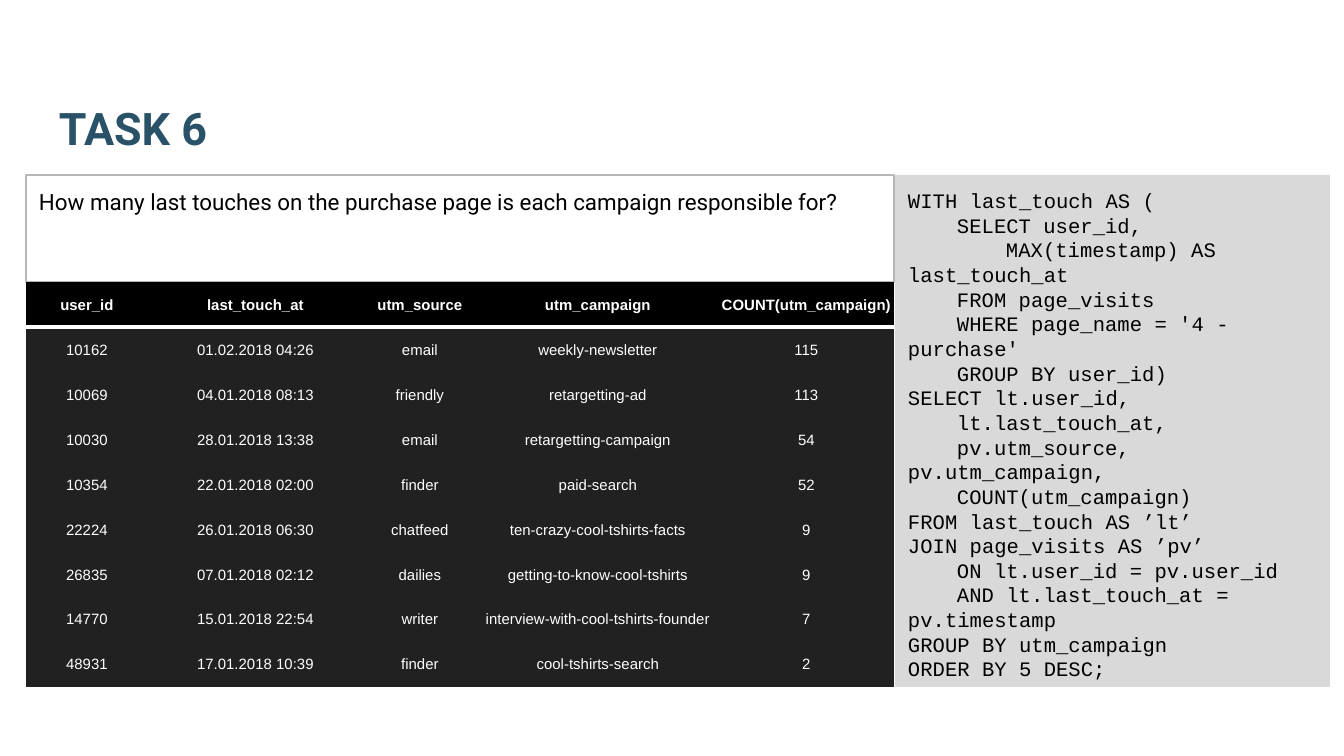
from lxml.etree import SubElement
from pptx import Presentation
from pptx.dml.color import RGBColor
from pptx.enum.shapes import MSO_SHAPE
from pptx.enum.text import MSO_ANCHOR, PP_ALIGN
from pptx.oxml import parse_xml
from pptx.oxml.ns import nsdecls, qn
from pptx.util import Emu, Pt

PX_PER_INCH = 134.4
LEFT, TOP = 26, 175
COLUMN_WIDTHS = [122, 215, 114, 242, 175]
ROW_HEIGHT = 45
QUESTION_HEIGHT = 107
TABLE_WIDTH = sum(COLUMN_WIDTHS)
CODE_INDENT = 49
NO_STYLE = "{2D5ABB26-0587-4C30-8999-92F81FD0307C}"

QUESTION = "How many last touches on the purchase page is each campaign responsible for?"
# Each line of the query: indent level, text
QUERY = [
    (0, "WITH last_touch AS ("),
    (1, "SELECT user_id,"),
    (2, "MAX(timestamp) AS last_touch_at"),
    (1, "FROM page_visits"),
    (1, "WHERE page_name = '4 - purchase'"),
    (1, "GROUP BY user_id)"),
    (0, "SELECT lt.user_id,"),
    (1, "lt.last_touch_at,"),
    (1, "pv.utm_source, pv.utm_campaign,"),
    (1, "COUNT(utm_campaign)"),
    (0, "FROM last_touch AS ’lt’"),
    (0, "JOIN page_visits AS ’pv’"),
    (1, "ON lt.user_id = pv.user_id"),
    (1, "AND lt.last_touch_at = pv.timestamp"),
    (0, "GROUP BY utm_campaign"),
    (0, "ORDER BY 5 DESC;"),
]
RESULTS = [
    ["user_id", "last_touch_at", "utm_source", "utm_campaign", "COUNT(utm_campaign)"],
    ["10162", "01.02.2018 04:26", "email", "weekly-newsletter", "115"],
    ["10069", "04.01.2018 08:13", "friendly", "retargetting-ad", "113"],
    ["10030", "28.01.2018 13:38", "email", "retargetting-campaign", "54"],
    ["10354", "22.01.2018 02:00", "finder", "paid-search", "52"],
    ["22224", "26.01.2018 06:30", "chatfeed", "ten-crazy-cool-tshirts-facts", "9"],
    ["26835", "07.01.2018 02:12", "dailies", "getting-to-know-cool-tshirts", "9"],
    ["14770", "15.01.2018 22:54", "writer", "interview-with-cool-tshirts-founder", "7"],
    ["48931", "17.01.2018 10:39", "finder", "cool-tshirts-search", "2"],
]


def px(length):
    return Emu(round(length * 914400 / PX_PER_INCH))


def color(value):
    return RGBColor.from_string(value)


def add_span(para, text, font, size, fill, bold=False):
    span = para.add_run()
    span.text = text
    span.font.name = font
    span.font.size = Pt(size)
    span.font.bold = bold
    span.font.color.rgb = color(fill)


def prepare_frame(box, anchor):
    """Set wrapping, padding and anchor; return the first paragraph."""
    frame = box.text_frame
    frame.word_wrap = True
    frame.margin_left = frame.margin_right = px(13)
    frame.margin_top = frame.margin_bottom = px(13)
    frame.vertical_anchor = anchor
    para = frame.paragraphs[0]
    para.alignment = PP_ALIGN.LEFT
    return para


def add_title(page, text):
    box = page.shapes.add_textbox(px(46), px(43), px(1253), px(124))
    add_span(prepare_frame(box, MSO_ANCHOR.BOTTOM), text, "Roboto", 24, "295269", True)


def add_panel(page, left, top, width, height, fill=None, line=None):
    box = page.shapes.add_shape(
        MSO_SHAPE.RECTANGLE, px(left), px(top), px(width), px(height))
    box.shadow.inherit = False
    if fill:
        box.fill.solid()
        box.fill.fore_color.rgb = color(fill)
    else:
        box.fill.background()
    if line:
        box.line.color.rgb = color(line)
        box.line.width = Pt(0.75)
    else:
        box.line.fill.background()
    return box


def add_question(page):
    box = add_panel(page, LEFT, TOP, TABLE_WIDTH, QUESTION_HEIGHT, line="B7B7B7")
    add_span(prepare_frame(box, MSO_ANCHOR.TOP), QUESTION, "Roboto", 12, "000000")


def add_query(page):
    height = QUESTION_HEIGHT + ROW_HEIGHT * len(RESULTS)
    box = add_panel(page, LEFT + TABLE_WIDTH + 1, TOP, 435, height, fill="D9D9D9")
    para = prepare_frame(box, MSO_ANCHOR.TOP)
    for number, (level, text) in enumerate(QUERY):
        if number:
            para = box.text_frame.add_paragraph()
            para.alignment = PP_ALIGN.LEFT
        # Only the first line is indented; wrapped text returns to the margin
        properties = para._p.get_or_add_pPr()
        properties.set("marL", "0")
        properties.set("indent", str(px(CODE_INDENT * level)))
        add_span(para, text, "Courier New", 11, "000000")


def add_bottom_border(cell, fill, width):
    border = parse_xml(f'<a:lnB {nsdecls("a")} w="{Pt(width)}"/>')
    solid = SubElement(border, qn("a:solidFill"))
    SubElement(solid, qn("a:srgbClr"), val=fill)
    cell._tc.get_or_add_tcPr().insert(0, border)


def fill_cell(cell, text, is_header):
    cell.fill.solid()
    cell.fill.fore_color.rgb = color("000000" if is_header else "212121")
    cell.margin_left = cell.margin_right = cell.margin_top = px(1)
    cell.margin_bottom = 0
    cell.vertical_anchor = MSO_ANCHOR.MIDDLE
    para = cell.text_frame.paragraphs[0]
    para.alignment = PP_ALIGN.CENTER
    add_span(para, text, "Arial", 8, "FFFFFF", is_header)
    if is_header:
        add_bottom_border(cell, "FFFFFF", 2)


def add_results(page):
    table = page.shapes.add_table(
        len(RESULTS), len(COLUMN_WIDTHS), px(LEFT), px(TOP + QUESTION_HEIGHT),
        px(TABLE_WIDTH), px(ROW_HEIGHT * len(RESULTS))).table
    table.horz_banding = False
    table._tbl.tblPr.find(qn("a:tableStyleId")).text = NO_STYLE
    for column, width in zip(table.columns, COLUMN_WIDTHS):
        column.width = px(width)
    for number, values in enumerate(RESULTS):
        table.rows[number].height = px(ROW_HEIGHT)
        for position, text in enumerate(values):
            fill_cell(table.cell(number, position), text, number == 0)


def main():
    deck = Presentation()
    deck.slide_width, deck.slide_height = px(1344), px(756)
    page = deck.slides.add_slide(deck.slide_layouts[6])
    add_title(page, "TASK 6")
    add_query(page)
    add_question(page)
    add_results(page)
    deck.save("out.pptx")


if __name__ == "__main__":
    main()
